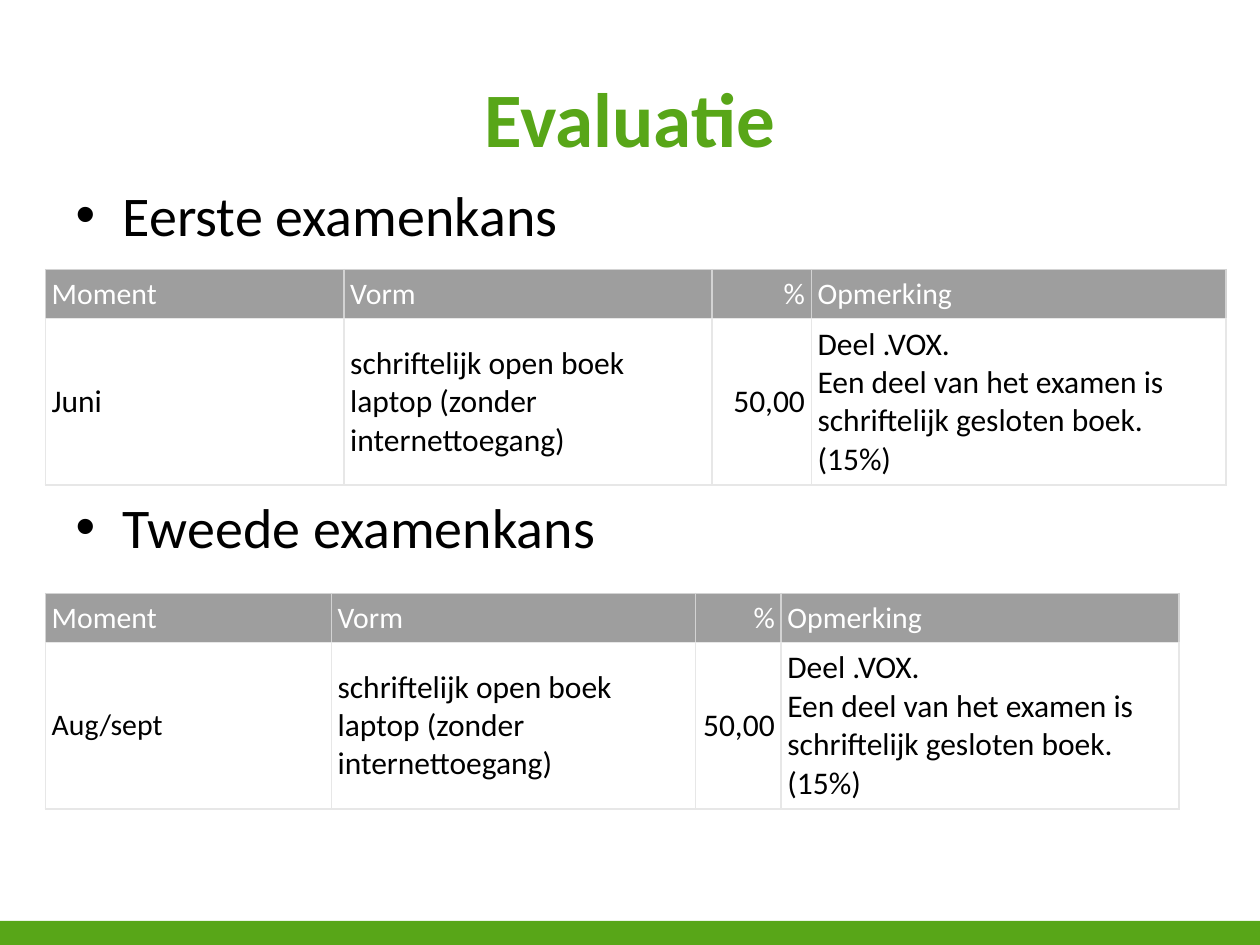
import pptx
import pptx.util
import pptx.dml.color
import pptx.enum.shapes
import pptx.enum.text
import pptx.oxml
import pptx.oxml.ns

Inches = pptx.util.Inches
Pt = pptx.util.Pt
ALIGN = pptx.enum.text.PP_ALIGN
ANCHOR = pptx.enum.text.MSO_ANCHOR

COLORS = {
    "green": "58A618",
    "black": "000000",
    "white": "FFFFFF",
    "header": "9E9E9E",
    "header_line": "D3D3D3",
    "line": "E7E7E7",
}


def rgb(name):
    return pptx.dml.color.RGBColor.from_string(COLORS[name])


def write(p, text, size, color="black", bold=False, align=None, before=None):
    p.text = text
    p.alignment = align
    if before is not None:
        p.space_before = Pt(before)
    for r in p.runs:
        r.font.name = "Calibri"
        r.font.size = Pt(size)
        r.font.bold = bold
        r.font.color.rgb = rgb(color)


class Deck:
    margin = Inches(0.05)
    row_heights = (0.38, 1.3)

    def __init__(self):
        self.prs = pptx.Presentation()
        self.prs.slide_width = Inches(10)
        self.prs.slide_height = Inches(7.5)
        self.s = self.prs.slides.add_slide(self.prs.slide_layouts[1])

    def place(self, sp, left, top, width, height):
        sp.left, sp.top = Inches(left), Inches(top)
        sp.width, sp.height = Inches(width), Inches(height)

    def bar(self, left, top, width, height):
        sp = self.s.shapes.add_shape(
            pptx.enum.shapes.MSO_SHAPE.RECTANGLE,
            Inches(left), Inches(top), Inches(width), Inches(height))
        sp.shadow.inherit = False
        sp.fill.solid()
        sp.fill.fore_color.rgb = rgb("green")
        sp.line.fill.background()

    def title(self, text, *box):
        sp = self.s.shapes.title
        self.place(sp, *box)
        sp.text_frame.vertical_anchor = ANCHOR.MIDDLE
        write(sp.text_frame.paragraphs[0], text, 44, color="green",
              bold=True, align=ALIGN.CENTER)

    def bullets(self, items, gap, *box):
        sp = self.s.placeholders[1]
        self.place(sp, *box)
        tf = sp.text_frame
        tf.auto_size = pptx.enum.text.MSO_AUTO_SIZE.NONE
        for i, text in enumerate(items):
            p = tf.add_paragraph() if i else tf.paragraphs[0]
            write(p, text, 32, before=gap if i else None)

    def borders(self, cell, **sides):
        tcPr = cell._tc.get_or_add_tcPr()
        for i, (side, color) in enumerate(sides.items()):
            tcPr.insert(i, pptx.oxml.parse_xml(
                f'<a:ln{side} {pptx.oxml.ns.nsdecls("a")} w="12700"><a:solidFill>'
                f'<a:srgbClr val="{COLORS[color]}"/></a:solidFill></a:ln{side}>'))

    def cell(self, cell, text, size, align, header):
        cell.fill.solid()
        cell.fill.fore_color.rgb = rgb("header" if header else "white")
        cell.vertical_anchor = ANCHOR.MIDDLE
        cell.margin_left = cell.margin_right = self.margin
        cell.margin_top = cell.margin_bottom = self.margin
        write(cell.text_frame.paragraphs[0], text, size,
              color="white" if header else "black", align=align)
        edge = "header_line" if header else "line"
        self.borders(cell, L=edge, R=edge, T=edge, B="line")

    def table(self, rows, left, top, widths, moment_size):
        table = self.s.shapes.add_table(
            len(rows), len(widths), Inches(left), Inches(top),
            Inches(sum(widths)), Inches(sum(self.row_heights))).table
        table.first_row = table.horz_banding = False
        for col, width in zip(table.columns, widths):
            col.width = Inches(width)
        for i, (row, height) in enumerate(zip(rows, self.row_heights)):
            table.rows[i].height = Inches(height)
            for j, text in enumerate(row):
                size = 17 if i == 0 else moment_size if j == 0 else 18
                align = ALIGN.RIGHT if j == 2 else ALIGN.LEFT
                self.cell(table.cell(i, j), text, size, align, header=i == 0)


def main():
    deck = Deck()
    deck.bar(0, 7.31, 10, 0.2)
    deck.title("Evaluatie", 0.5, 0.3, 9, 1.25)
    deck.bullets(["Eerste examenkans", "Tweede examenkans"], 140,
                 0.5, 1.38, 9, 4.95)
    header = ["Moment", "Vorm", "%", "Opmerking"]
    exam = [
        "schriftelijk open boek laptop (zonder internettoegang)",
        "50,00",
        "Deel .VOX.\nEen deel van het examen is schriftelijk gesloten boek. (15%)",
    ]
    for moment, size, top, widths in (
        ("Juni", 18, 2.14, (2.37, 2.92, 0.79, 3.29)),
        ("Aug/sept", 17, 4.71, (2.27, 2.89, 0.68, 3.16)),
    ):
        deck.table([header, [moment] + exam], 0.36, top, widths, size)
    deck.prs.save("out.pptx")


if __name__ == "__main__":
    main()
